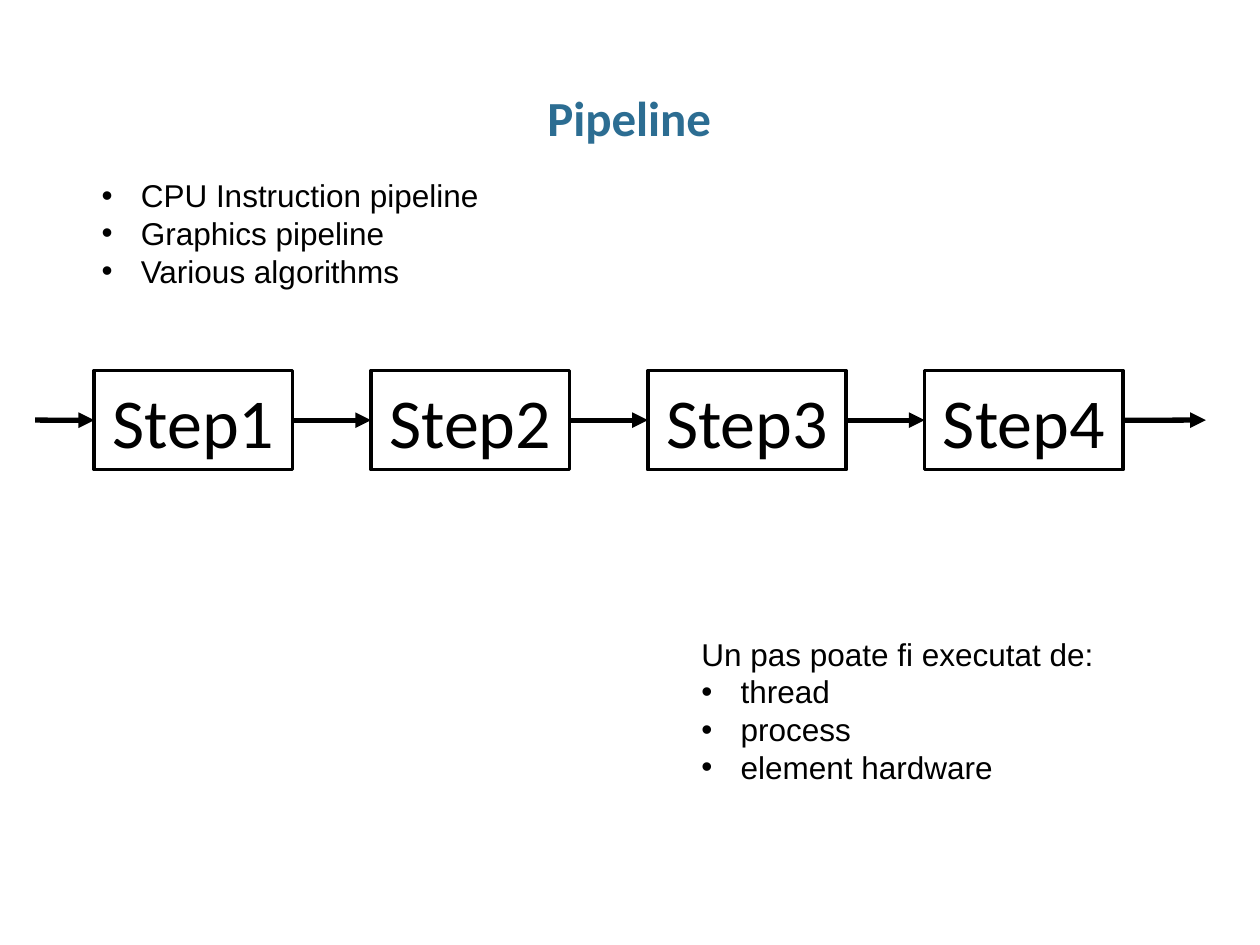
from dataclasses import dataclass
from itertools import pairwise

import lxml.etree
import pptx
import pptx.dml.color
import pptx.enum.shapes
import pptx.enum.text
import pptx.oxml.ns
import pptx.shapes.autoshape
import pptx.slide
import pptx.text.text
import pptx.util
from pptx.util import Cm, Pt

qn = pptx.oxml.ns.qn
TOP_LEFT_SIDE, RIGHT_SIDE = 1, 3


@dataclass(frozen=True)
class Theme:
    accent: pptx.dml.color.RGBColor = pptx.dml.color.RGBColor(0x2C, 0x6D, 0x92)
    ink: pptx.dml.color.RGBColor = pptx.dml.color.RGBColor(0, 0, 0)
    heading_font: str = "Calibri"
    body_font: str = "Arial"
    title_size: int = 28
    step_size: int = 40
    body_size: int = 18
    box_line: int = 2
    arrow_line: int = 3


@dataclass(frozen=True)
class Line:
    text: str
    bulleted: bool = True


@dataclass(frozen=True)
class Note:
    left: float
    top: float
    width: float
    height: float
    lines: tuple[Line, ...]


THEME = Theme()
STEPS = ("Step1", "Step2", "Step3", "Step4")
STEP_LEFT, STEP_TOP, STEP_PITCH = 1.9, 7.47, 5.58
STEP_WIDTH, STEP_HEIGHT = 4, 2
FLOW_START, FLOW_END = 0.71, 24.31
BULLET_INDENT = Cm(0.79)
NOTES = (
    Note(1.8, 3.43, 8.18, 2.57, (
        Line("CPU Instruction pipeline"),
        Line("Graphics pipeline"),
        Line("Various algorithms"),
    )),
    Note(13.89, 12.67, 8.48, 3.33, (
        Line("Un pas poate fi executat de:", bulleted=False),
        Line("thread"),
        Line("process"),
        Line("element hardware"),
    )),
)


def add_run(paragraph: pptx.text.text._Paragraph, text: str, font_name: str, size: int,
            color: pptx.dml.color.RGBColor = THEME.ink, bold: bool = False) -> None:
    run = paragraph.add_run()
    run.text = text
    run.font.name = font_name
    run.font.size = Pt(size)
    run.font.bold = bold
    run.font.color.rgb = color


def add_bullet(paragraph: pptx.text.text._Paragraph) -> None:
    properties = paragraph._p.get_or_add_pPr()
    properties.set("marL", str(BULLET_INDENT))
    properties.set("indent", str(-BULLET_INDENT))
    lxml.etree.SubElement(properties, qn("a:buFont"), typeface=THEME.body_font)
    lxml.etree.SubElement(properties, qn("a:buChar"), char="•")


def add_title(slide: pptx.slide.Slide, text: str) -> None:
    frame = slide.shapes.add_textbox(Cm(0.86), Cm(1.73), Cm(23.65), Cm(1.27)).text_frame
    frame.word_wrap = True
    frame.margin_left = frame.margin_right = 0
    paragraph = frame.paragraphs[0]
    paragraph.alignment = pptx.enum.text.PP_ALIGN.CENTER
    paragraph.line_spacing = 0.95
    add_run(paragraph, text, THEME.heading_font, THEME.title_size, THEME.accent, bold=True)


def add_note(slide: pptx.slide.Slide, note: Note) -> None:
    frame = slide.shapes.add_textbox(
        Cm(note.left), Cm(note.top), Cm(note.width), Cm(note.height)).text_frame
    frame.word_wrap = False
    frame.auto_size = pptx.enum.text.MSO_AUTO_SIZE.SHAPE_TO_FIT_TEXT
    for index, line in enumerate(note.lines):
        paragraph = frame.add_paragraph() if index else frame.paragraphs[0]
        if line.bulleted:
            add_bullet(paragraph)
        add_run(paragraph, line.text, THEME.body_font, THEME.body_size)


def add_step(slide: pptx.slide.Slide, index: int, text: str) -> pptx.shapes.autoshape.Shape:
    shape = slide.shapes.add_shape(
        pptx.enum.shapes.MSO_SHAPE.RECTANGLE, Cm(STEP_LEFT + index * STEP_PITCH),
        Cm(STEP_TOP), Cm(STEP_WIDTH), Cm(STEP_HEIGHT))
    shape.shadow.inherit = False
    shape.fill.background()
    shape.line.color.rgb = THEME.ink
    shape.line.width = Pt(THEME.box_line)
    frame = shape.text_frame
    frame.vertical_anchor = pptx.enum.text.MSO_ANCHOR.MIDDLE
    paragraph = frame.paragraphs[0]
    paragraph.alignment = pptx.enum.text.PP_ALIGN.CENTER
    add_run(paragraph, text, THEME.heading_font, THEME.step_size)
    return shape


def add_arrow(slide: pptx.slide.Slide, source: pptx.shapes.autoshape.Shape | None,
              target: pptx.shapes.autoshape.Shape | None) -> None:
    """Draw a flow arrow; a missing source or target leaves that end free."""
    middle = Cm(STEP_TOP + STEP_HEIGHT / 2)
    connector = slide.shapes.add_connector(
        pptx.enum.shapes.MSO_CONNECTOR.STRAIGHT, Cm(FLOW_START), middle, Cm(FLOW_END), middle)
    if source is not None:
        connector.begin_connect(source, RIGHT_SIDE)
    if target is not None:
        connector.end_connect(target, TOP_LEFT_SIDE)
    connector.line.color.rgb = THEME.ink
    connector.line.width = Pt(THEME.arrow_line)
    properties = connector._element.spPr
    lxml.etree.SubElement(properties.find(qn("a:ln")), qn("a:tailEnd"), type="triangle")
    lxml.etree.SubElement(properties, qn("a:effectLst"))


def main() -> None:
    presentation = pptx.Presentation()
    presentation.slide_width, presentation.slide_height = Cm(25.4), Cm(19.05)
    slide = presentation.slides.add_slide(presentation.slide_layouts[6])
    add_title(slide, "Pipeline")
    steps = [add_step(slide, index, text) for index, text in enumerate(STEPS)]
    for source, target in pairwise([None, *steps, None]):
        add_arrow(slide, source, target)
    for note in NOTES:
        add_note(slide, note)
    presentation.save("out.pptx")


if __name__ == "__main__":
    main()
